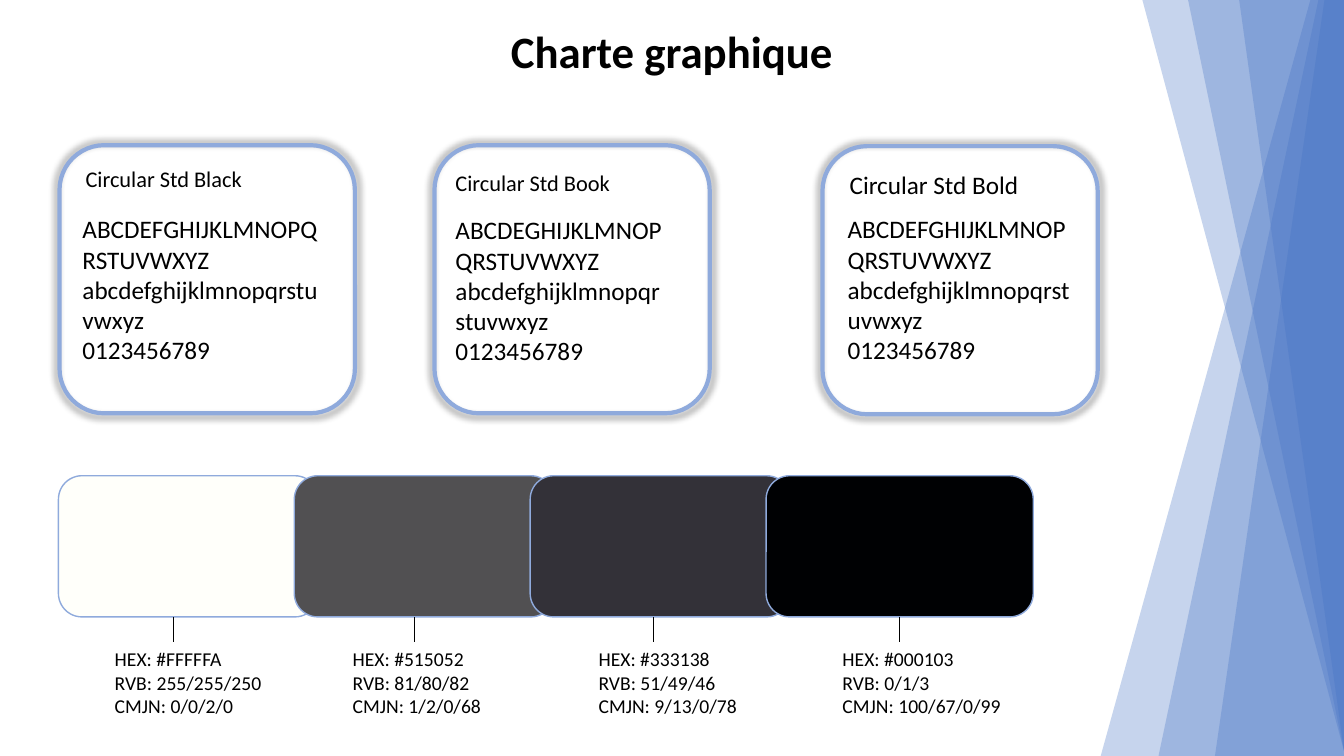
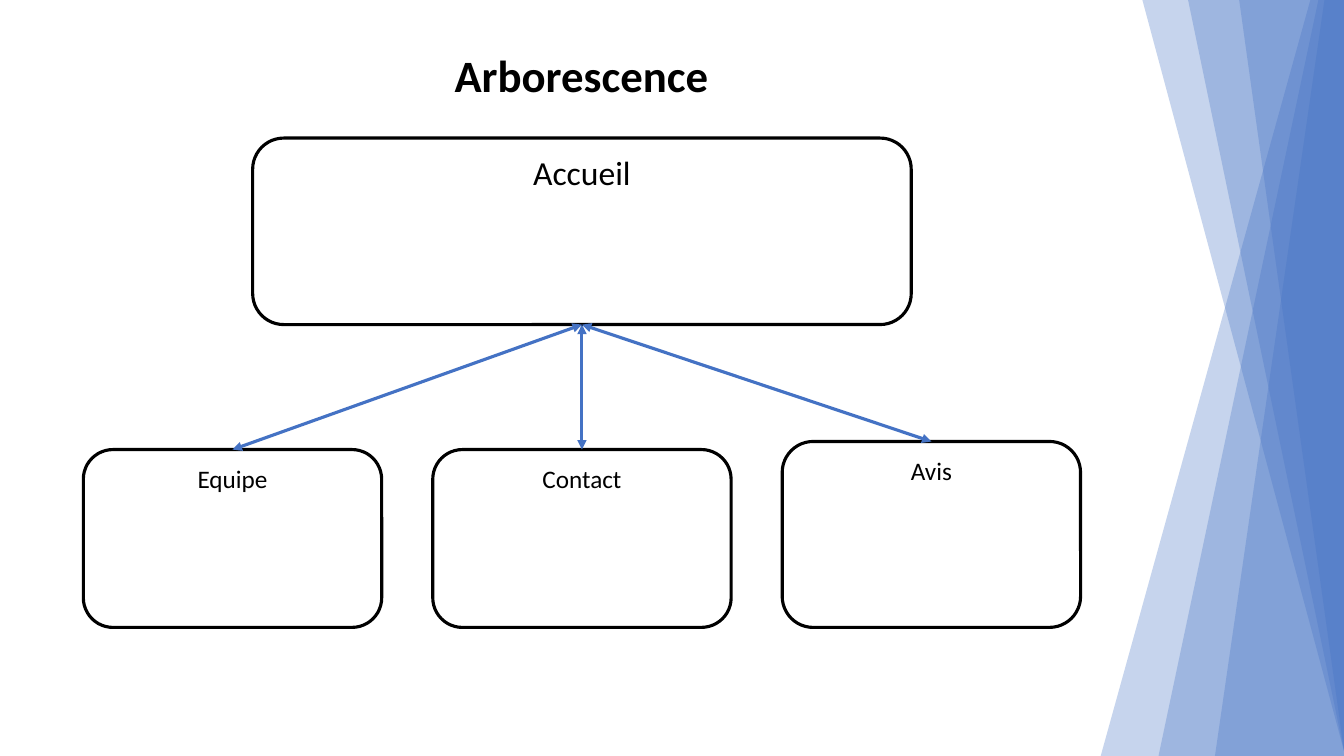
from lxml.etree import SubElement
from pptx import Presentation
from pptx.dml.color import RGBColor
from pptx.enum.shapes import MSO_CONNECTOR, MSO_SHAPE
from pptx.enum.text import MSO_ANCHOR, MSO_AUTO_SIZE, PP_ALIGN
from pptx.oxml.ns import qn
from pptx.util import Inches, Pt

FONT, BLACK, WHITE = "Calibri", "000000", "FFFFFF"
BLUE, PALE = "4472C4", "8FAADC"
hue = RGBColor.from_string

deck = Presentation()
deck.slide_width, deck.slide_height = Inches(13.33), Inches(7.5)
# The grid has 100 columns and 100 rows.
COL, ROW = deck.slide_width / 100, deck.slide_height / 100


def draw(slide, kind, at, fill=None, line=None, width=1):
    """Add a "box" or "text" (left, top, width, height) or a "rule" (from, to)."""
    spot = [round(n * unit) for n, unit in zip(at, (COL, ROW) * 2)]
    if kind == "text":
        return slide.shapes.add_textbox(*spot)
    if kind == "rule":
        shape = slide.shapes.add_connector(MSO_CONNECTOR.STRAIGHT, *spot)
    else:
        shape = slide.shapes.add_shape(MSO_SHAPE.ROUNDED_RECTANGLE, *spot)
        if fill:
            shape.fill.solid()
            shape.fill.fore_color.rgb = hue(fill)
        else:
            shape.fill.background()
    shape.line.color.rgb = hue(line)
    shape.line.width = Pt(width)
    SubElement(shape.element.spPr, qn("a:effectLst"))
    return shape


def write(shape, text, size=18, bold=False, align=PP_ALIGN.LEFT):
    frame = shape.text_frame
    frame.text = text
    frame.word_wrap = True
    frame.auto_size = MSO_AUTO_SIZE.NONE
    frame.vertical_anchor = MSO_ANCHOR.TOP
    for para in frame.paragraphs:
        para.alignment = align
        font = para.font
        font.name, font.size, font.bold = FONT, Pt(size), bold
        font.color.rgb = hue(BLACK)


# Slides and titles: text, top, width
layout = deck.slide_layouts[5]
slides = []
for text, top, width in (("Charte graphique", 2.53, 100), ("Arborescence", 5.6, 86.55)):
    slide = deck.slides.add_slide(layout)
    title = slide.shapes.title
    title.left, title.top = 0, round(top * ROW)
    title.width, title.height = round(width * COL), round(8.53 * ROW)
    write(title, text, size=32, bold=True, align=PP_ALIGN.CENTER)
    slides.append(slide)
chart, tree = slides

# Bands on the right, shared through the layout
rising = [[(top, 0), (100, 0), (100, 100), (foot, 100)]
          for top, foot in ((97.5, 81.9), (98.1, 86.2), (98.55, 90.4))]
falling = [[(top, 0), (100, 0), (100, 99.33)] for top in (85, 88.4, 92.2)]
for points in rising + falling:
    first, *rest = [(round(x * COL), round(y * ROW)) for x, y in points]
    path = chart.shapes.build_freeform(*first)
    path.add_line_segments(rest)
    band = path.convert_to_shape()
    band.fill.solid()
    band.fill.fore_color.rgb = hue(BLUE)
    band.line.fill.background()
    band.shadow.inherit = False
    tint = band.element.spPr.find(qn("a:solidFill"))[0]
    SubElement(tint, qn("a:alpha"), val="30000")
    layout.shapes.element.append(band.element)

# Font cards: card left, top, width; name, left, top, size; sample left, top, width
UPPER = "ABCDEFGHIJKLMNOPQRSTUVWXYZ"
cards = (
    ((4.43, 19.2, 21.98), ("Circular Std Black", 5.63, 21.2, 16), (5.4, 27.6, 19.5), UPPER),
    ((32.33, 19.2, 20.48), ("Circular Std Book", 33.15, 21.73, 16), (33.15, 27.73, 16.95),
     UPPER.replace("F", "")),
    ((61.2, 19.33, 20.48), ("Circular Std Bold", 62.48, 21.73, 18), (62.33, 27.6, 18.3), UPPER),
)
for frame, (name, left, top, size), sample, caps in cards:
    card = draw(chart, "box", (*frame, 35.47), line=PALE, width=3)
    glow = SubElement(card.element.spPr.find(qn("a:effectLst")), qn("a:outerShdw"),
                      blurRad=str(Pt(5)), sx="102000", sy="102000", algn="ctr",
                      rotWithShape="0")
    shade = SubElement(glow, qn("a:srgbClr"), val=BLACK)
    SubElement(shade, qn("a:alpha"), val="40000")
    write(draw(chart, "text", (left, top, 18, 5.2)), name, size=size)
    write(draw(chart, "text", (*sample, 21.6)),
          f"{caps}\n{UPPER.lower()}\n0123456789")

# Palette: hex, RGB, CMYK, swatch width, tick column, label left
palette = (
    ("FFFFFA", "255/255/250", "0/0/2/0", 19.35, 12.9, 7.8),
    ("515052", "81/80/82", "1/2/0/68", 19.35, 30.83, 25.5),
    ("333138", "51/49/46", "9/13/0/78", 19.35, 48.6, 43.8),
    ("000103", "0/1/3", "100/67/0/99", 19.88, 66.94, 61.95),
)
for i, (code, rgb, cmyk, width, tick, left) in enumerate(palette):
    start = 4.35 + 17.55 * i
    swatch = draw(chart, "box", (start, 62.93, width, 18.67), fill=code, line=PALE)
    rule = draw(chart, "rule", (tick, 81.6, tick, 84.93), line=BLACK, width=0.5)
    if abs(tick - start - width / 2) < 0.01:
        rule.begin_connect(swatch, 2)
    write(draw(chart, "text", (left, 84.93, 16.8, 10.8)),
          f"HEX: #{code}\nRVB: {rgb}\nCMJN: {cmyk}", size=14)

# Site tree
home = draw(tree, "box", (18.8, 18.27, 49, 24.67), fill=WHITE, line=BLACK, width=2.25)
write(home, "Accueil", size=24, align=PP_ALIGN.CENTER)
for i, (name, top) in enumerate((("Equipe", 59.47), ("Contact", 59.47), ("Avis", 58.4))):
    page = draw(tree, "box", (6.2 + 26 * i, top, 22.2, 83 - top),
                fill=WHITE, line=BLACK, width=2.25)
    write(page, name, align=PP_ALIGN.CENTER)
    arrow = draw(tree, "rule", (43.3, 42.94, 17.3 + 26 * i, top), line=BLUE, width=2.25)
    arrow.begin_connect(home, 2)
    arrow.end_connect(page, 0)
    for end in ("a:headEnd", "a:tailEnd"):
        SubElement(arrow.element.spPr.find(qn("a:ln")), qn(end), type="triangle")

deck.save("out.pptx")
